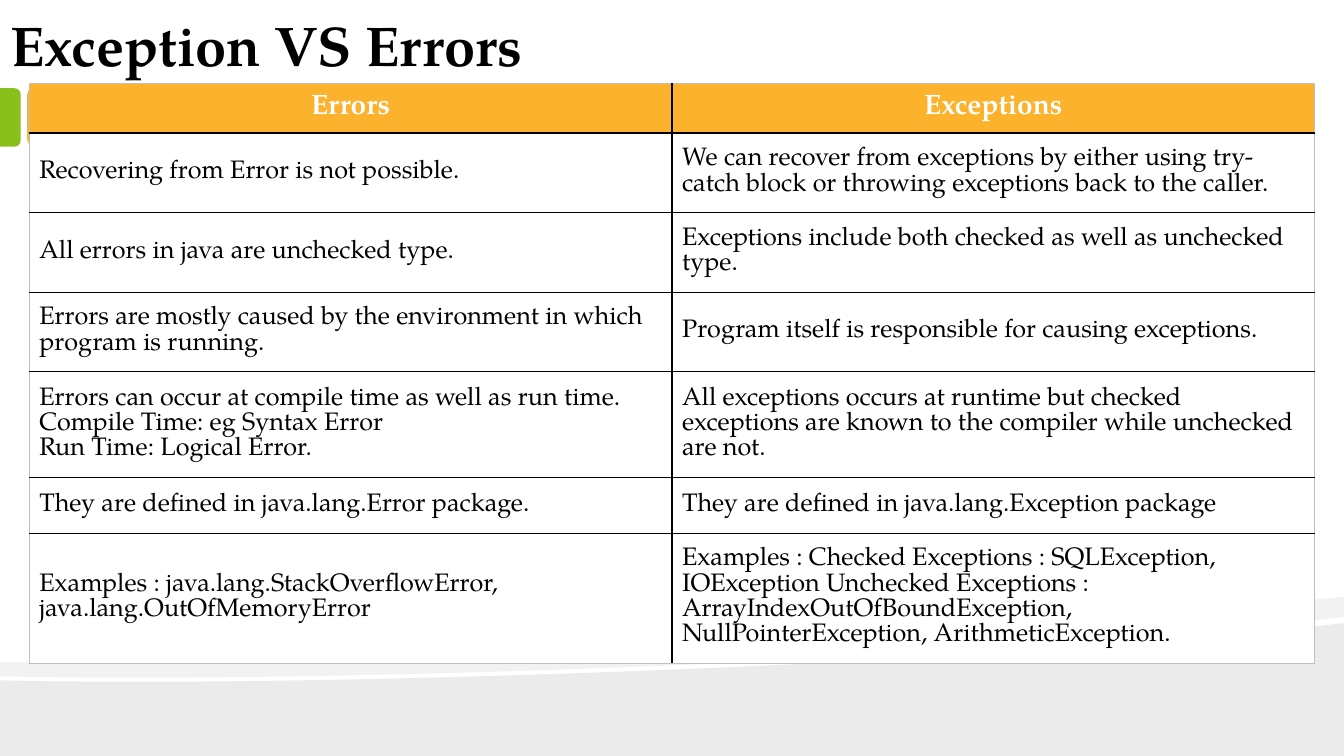
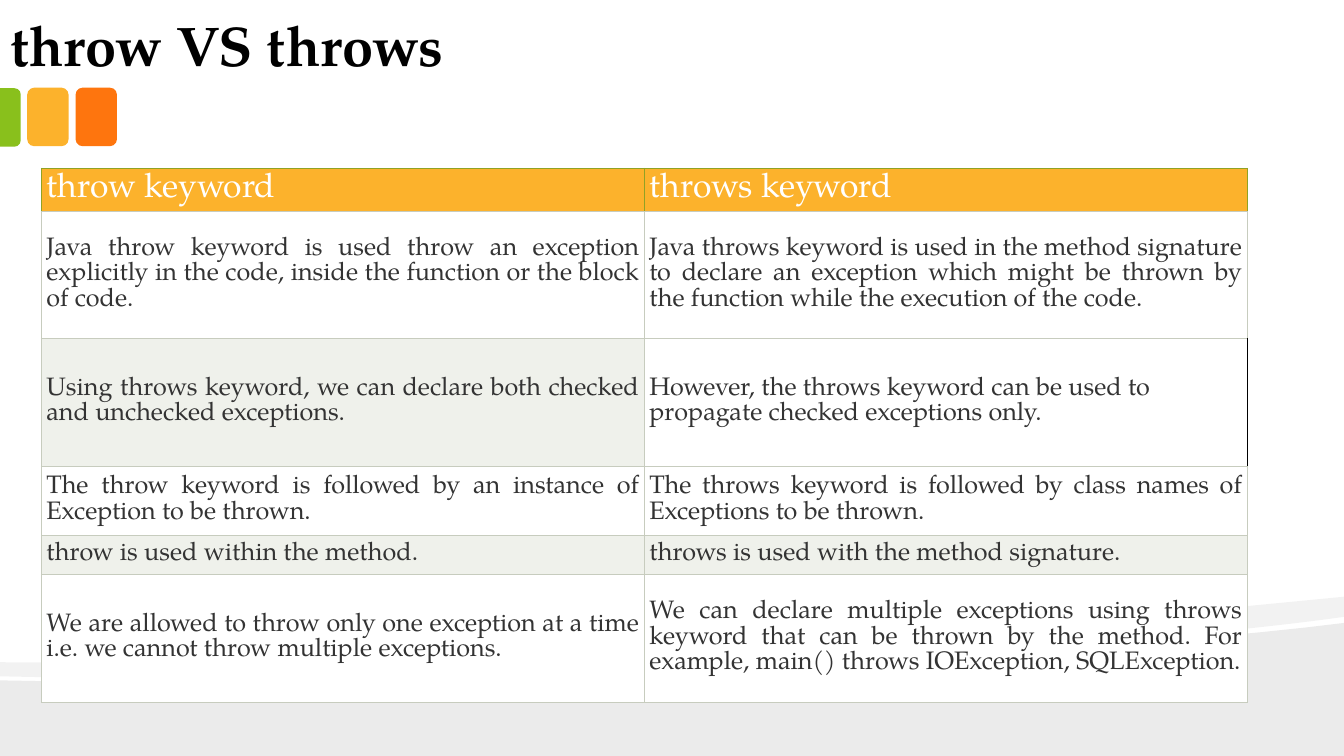
from lxml import etree
from pptx import Presentation
from pptx.dml.color import RGBColor
from pptx.enum.shapes import MSO_SHAPE
from pptx.enum.text import MSO_ANCHOR, PP_ALIGN
from pptx.oxml.ns import qn
from pptx.util import Inches, Pt

LEFT, CENTER, JUSTIFY = PP_ALIGN.LEFT, PP_ALIGN.CENTER, PP_ALIGN.JUSTIFY
MIDDLE, BOTTOM = MSO_ANCHOR.MIDDLE, MSO_ANCHOR.BOTTOM
ROUNDED, ROUNDED_TOP = MSO_SHAPE.ROUNDED_RECTANGLE, MSO_SHAPE.ROUND_2_SAME_RECTANGLE
FONT = "TeX Gyre Pagella"
COLORS = {
    "black": "000000", "white": "FFFFFF", "text": "333333",
    "orange": "FE750E", "amber": "FCB22C", "green": "89C01C",
    "grey": "BFBFBF", "sage": "C7CCBE", "olive": "90A225", "band": "EFF1EB",
}

TABS = [
    (ROUNDED, 0.75, 0.87, 0.41, 0.58, 0, "orange"),
    (ROUNDED, 0.27, 0.87, 0.41, 0.58, 0, "amber"),
    (ROUNDED_TOP, -0.19, 1.06, 0.58, 0.21, 90, "green"),
]

SLIDES = [
    {
        "title": "Exception VS Errors", "title_width": 10.37,
        "left": 0.29, "top": 0.83, "column_width": 6.375,
        "row_heights": [0.49, 0.79, 0.79, 0.79, 1.05, 0.55, 1.29],
        "margins": (0.1, 0.04),
        "header_size": 20, "header_bold": True, "header_align": CENTER,
        "body_align": LEFT, "body_color": "black", "band": "white",
        "inner": "black", "outer": "grey", "header_line": None, "line_width": 1,
        "open_cell": None,
        "rows": [
            ("Errors", "Exceptions"),
            ("Recovering from Error is not possible.",
             "We can recover from exceptions by either using try-catch block or throwing "
             "exceptions back to the caller."),
            ("All errors in java are unchecked type.",
             "Exceptions include both checked as well as unchecked type."),
            ("Errors are mostly caused by the environment in which program is running.",
             "Program itself is responsible for causing exceptions."),
            ("Errors can occur at compile time as well as run time. "
             "Compile Time: eg Syntax Error\nRun Time: Logical Error.",
             "All exceptions occurs at runtime but checked exceptions are known to the "
             "compiler while unchecked are not."),
            ("They are defined in java.lang.Error package.",
             "They are defined in java.lang.Exception package"),
            ("Examples : java.lang.StackOverflowError, java.lang.OutOfMemoryError",
             "Examples : Checked Exceptions : SQLException, IOException Unchecked "
             "Exceptions : ArrayIndexOutOfBoundException, NullPointerException, "
             "ArithmeticException."),
        ],
    },
    {
        "title": "throw VS throws", "title_width": 12.2,
        "left": 0.41, "top": 1.67, "column_width": 5.98,
        "row_heights": [0.43, 1.26, 1.27, 0.68, 0.39, 1.27],
        "margins": (0.05, 0.01),
        "header_size": 24, "header_bold": False, "header_align": LEFT,
        "body_align": JUSTIFY, "body_color": "text", "band": "band",
        "inner": "sage", "outer": "sage", "header_line": "olive", "line_width": 0.75,
        "open_cell": (2, 1),
        "rows": [
            ("throw keyword", "throws keyword"),
            ("Java throw keyword is used throw an exception explicitly in the code, "
             "inside the function or the block of code.",
             "Java throws keyword is used in the method signature to declare an exception "
             "which might be thrown by the function while the execution of the code."),
            ("Using throws keyword, we can declare both checked and unchecked exceptions.",
             "However, the throws keyword can be used to propagate checked exceptions only."),
            ("The throw keyword is followed by an instance of Exception to be thrown.",
             "The throws keyword is followed by class names of Exceptions to be thrown."),
            ("throw is used within the method.",
             "throws is used with the method signature."),
            ("We are allowed to throw only one exception at a time i.e. we cannot throw "
             "multiple exceptions.",
             "We can declare multiple exceptions using throws keyword that can be thrown "
             "by the method. For example, main() throws IOException, SQLException."),
        ],
    },
]


def curve(start, control_1, control_2, end, steps=24):
    points = []
    for step in range(steps + 1):
        t = step / steps
        weights = ((1 - t) ** 3, 3 * t * (1 - t) ** 2, 3 * t * t * (1 - t), t ** 3)
        corners = (start, control_1, control_2, end)
        points.append(tuple(sum(w * c[axis] for w, c in zip(weights, corners)) for axis in (0, 1)))
    return points


def paint(shape, color):
    shape.shadow.inherit = False
    shape.fill.solid()
    shape.fill.fore_color.rgb = RGBColor.from_string(COLORS[color])
    shape.line.fill.background()


WAVES = [
    (8, curve((0, 6.75), (3.52, 6.83), (10.42, 6.55), (13.33, 6.18)) + [(13.33, 7.5), (0, 7.5)]),
    (5, curve((13.33, 6.12), (12.55, 6.23), (11.49, 6.33), (10.29, 6.41))
     + curve((10.29, 6.41), (6.98, 6.63), (2.58, 6.77), (0, 6.71))
     + curve((0, 6.57), (6.52, 6.62), (9.71, 6.27), (13.33, 5.92))),
]

presentation = Presentation()
presentation.slide_width = Inches(13.33)
presentation.slide_height = Inches(7.5)

for content in SLIDES:
    slide = presentation.slides.add_slide(presentation.slide_layouts[6])

    for opacity, points in WAVES:
        outline = [(Inches(x), Inches(y)) for x, y in points]
        builder = slide.shapes.build_freeform(*outline[0])
        builder.add_line_segments(outline[1:], close=True)
        wave = builder.convert_to_shape()
        paint(wave, "black")
        wave_color = next(wave.fill._xPr.iter(qn("a:srgbClr")))
        etree.SubElement(wave_color, qn("a:alpha"), val=str(opacity * 1000))

    for kind, left, top, width, height, rotation, color in TABS:
        tab = slide.shapes.add_shape(kind, Inches(left), Inches(top), Inches(width), Inches(height))
        tab.rotation = rotation
        paint(tab, color)
        if kind == ROUNDED_TOP:
            tab.adjustments[0] = 0.29

    title = slide.shapes.add_textbox(
        Inches(-0.03), 0, Inches(content["title_width"]), Inches(0.84))
    frame = title.text_frame
    frame.word_wrap = True
    frame.vertical_anchor = BOTTOM
    frame.margin_left = frame.margin_right = Inches(0.13)
    frame.margin_top = frame.margin_bottom = Inches(0.07)
    frame.text = content["title"]
    font = frame.paragraphs[0].font
    font.name, font.size, font.bold = FONT, Pt(40), True
    font.color.rgb = RGBColor.from_string(COLORS["black"])

    rows = content["rows"]
    last_column = len(rows[0]) - 1
    side_margin, end_margin = content["margins"]
    table = slide.shapes.add_table(
        len(rows), len(rows[0]), Inches(content["left"]), Inches(content["top"]),
        Inches(content["column_width"] * len(rows[0])), Inches(sum(content["row_heights"]))).table
    table.first_row = table.horz_banding = False
    for column in table.columns:
        column.width = Inches(content["column_width"])

    for row_index, texts in enumerate(rows):
        table.rows[row_index].height = Inches(content["row_heights"][row_index])
        header = row_index == 0
        for column_index, text in enumerate(texts):
            cell = table.cell(row_index, column_index)
            is_open = (row_index, column_index) == content["open_cell"]
            on_edge = {
                "L": column_index == 0, "R": column_index == last_column,
                "T": header, "B": row_index == len(rows) - 1,
            }
            borders = {side: content["outer" if edge else "inner"] for side, edge in on_edge.items()}
            if header and content["header_line"]:
                borders.update(dict.fromkeys("LRT", content["header_line"]))
            if is_open:
                borders["R"] = "black"
            properties = cell._tc.get_or_add_tcPr()
            for side, color in borders.items():
                line = etree.SubElement(
                    properties, qn("a:ln" + side), w=str(Pt(content["line_width"])))
                line_fill = etree.SubElement(line, qn("a:solidFill"))
                etree.SubElement(line_fill, qn("a:srgbClr"), val=COLORS[color])

            if is_open:
                cell.fill.background()
            else:
                fill = "amber" if header else "white" if row_index % 2 else content["band"]
                cell.fill.solid()
                cell.fill.fore_color.rgb = RGBColor.from_string(COLORS[fill])

            cell.margin_left = cell.margin_right = Inches(side_margin)
            cell.margin_top = cell.margin_bottom = Inches(end_margin)
            cell.vertical_anchor = MIDDLE
            cell.text = text
            for paragraph in cell.text_frame.paragraphs:
                paragraph.alignment = (
                    LEFT if is_open else content["header_align" if header else "body_align"])
                font = paragraph.font
                font.name = FONT
                font.size = Pt(content["header_size"] if header else 18)
                font.bold = header and content["header_bold"]
                font.color.rgb = RGBColor.from_string(
                    COLORS["white" if header else content["body_color"]])

presentation.save("out.pptx")
